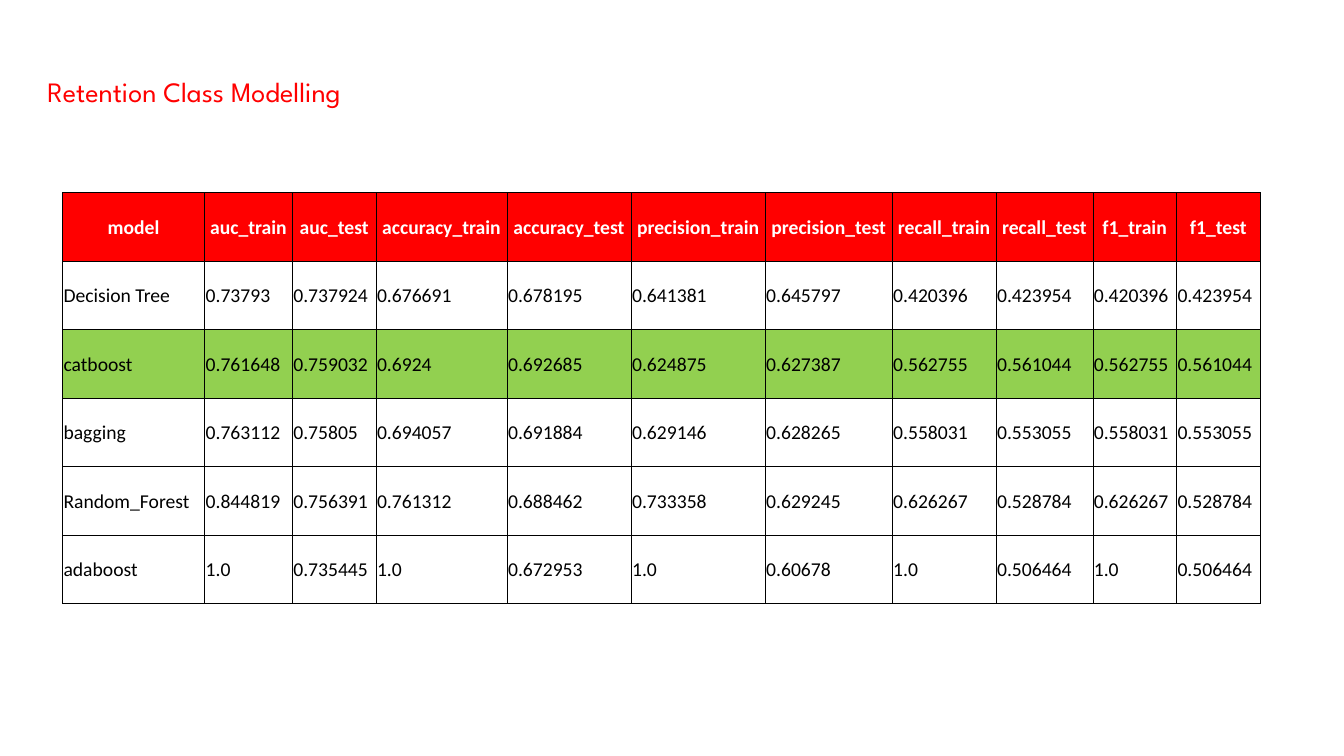
from lxml.etree import SubElement
from pptx import Presentation
from pptx.dml.color import RGBColor
from pptx.enum.text import MSO_ANCHOR, MSO_AUTO_SIZE, PP_ALIGN
from pptx.oxml.ns import qn
from pptx.util import Emu, Pt

SCALE = 9144  # EMU in one px, 100 px to the inch
HEX = {"red": "FF0000", "green": "92D050", "white": "FFFFFF", "black": "000000"}
TITLE = {"name": "League Spartan", "size": Pt(20), "bold": False}
HEAD = {"name": "Calibri", "size": Pt(14), "bold": True}
BODY = {**HEAD, "bold": False}

WIDTHS = [141, 87, 83, 130, 123, 133, 126, 103, 96, 83, 83]
METRICS = ["auc", "accuracy", "precision", "recall", "f1"]
HEADER = ["model"] + [f"{metric}_{part}" for metric in METRICS for part in ("train", "test")]
BEST = "catboost"
SCORES = {
    "Decision Tree": "0.73793 0.737924 0.676691 0.678195 0.641381 "
                     "0.645797 0.420396 0.423954 0.420396 0.423954",
    "catboost": "0.761648 0.759032 0.6924 0.692685 0.624875 "
                "0.627387 0.562755 0.561044 0.562755 0.561044",
    "bagging": "0.763112 0.75805 0.694057 0.691884 0.629146 "
               "0.628265 0.558031 0.553055 0.558031 0.553055",
    "Random_Forest": "0.844819 0.756391 0.761312 0.688462 0.733358 "
                     "0.629245 0.626267 0.528784 0.626267 0.528784",
    "adaboost": "1.0 0.735445 1.0 0.672953 1.0 0.60678 1.0 0.506464 1.0 0.506464",
}


def px(count):
    return Emu(count * SCALE)


def assign(target, values):
    for name, value in values.items():
        setattr(target, name, value)


class Deck:
    def __init__(self, width, height):
        self.show = Presentation()
        assign(self.show, {"slide_width": px(width), "slide_height": px(height)})
        self.slide = self.show.slides.add_slide(self.show.slide_layouts[5])

    def label(self, frame, text, style, color, align):
        para = frame.paragraphs[0]
        para.alignment = align
        run = para.add_run()
        run.text = text
        assign(run.font, style)
        run.font.color.rgb = RGBColor.from_string(HEX[color])
        return para

    def title(self, text, left, top, width, height):
        shape = self.slide.shapes.title
        assign(shape, {"left": px(left), "top": px(top),
                       "width": px(width), "height": px(height)})
        frame = shape.text_frame
        sides = ("left", "right", "top", "bottom")
        assign(frame, {f"margin_{side}": px(13) for side in sides})
        assign(frame, {"word_wrap": True, "auto_size": MSO_AUTO_SIZE.NONE,
                       "vertical_anchor": MSO_ANCHOR.TOP})
        self.label(frame, text, TITLE, "red", PP_ALIGN.LEFT).line_spacing = 0.9

    def border(self, cell):
        props = cell._tc.get_or_add_tcPr()
        for side in "LRTB":
            line = SubElement(props, qn(f"a:ln{side}"), w=str(Pt(0.5)))
            fill = SubElement(line, qn("a:solidFill"))
            SubElement(fill, qn("a:srgbClr"), val=HEX["black"])

    def cell(self, cell, text, style, color, align, fill):
        assign(cell, {"margin_left": px(1), "margin_right": px(1), "margin_top": px(1),
                      "margin_bottom": 0, "vertical_anchor": MSO_ANCHOR.MIDDLE})
        self.border(cell)
        if fill:
            cell.fill.solid()
            cell.fill.fore_color.rgb = RGBColor.from_string(HEX[fill])
        else:
            cell.fill.background()
        self.label(cell.text_frame, text, style, color, align)

    def table(self, rows, widths, left, top, height):
        frame = self.slide.shapes.add_table(
            len(rows), len(widths), px(left), px(top),
            px(sum(widths)), px(height * len(rows)))
        table = frame.table
        assign(table, {"first_row": False, "horz_banding": False})
        for column, width in zip(table.columns, widths):
            column.width = px(width)
        for i, row in enumerate(rows):
            if i == 0:
                look = (HEAD, "white", PP_ALIGN.CENTER, "red")
            else:
                look = (BODY, "black", PP_ALIGN.LEFT, "green" if row[0] == BEST else None)
            for j, text in enumerate(row):
                self.cell(table.cell(i, j), text, *look)


def main():
    deck = Deck(1333, 750)
    deck.title("Retention Class Modelling", 34, 65, 1242, 84)
    rows = [HEADER] + [[model, *scores.split()] for model, scores in SCORES.items()]
    deck.table(rows, WIDTHS, left=62, top=191, height=68)
    deck.show.save("out.pptx")


if __name__ == "__main__":
    main()
